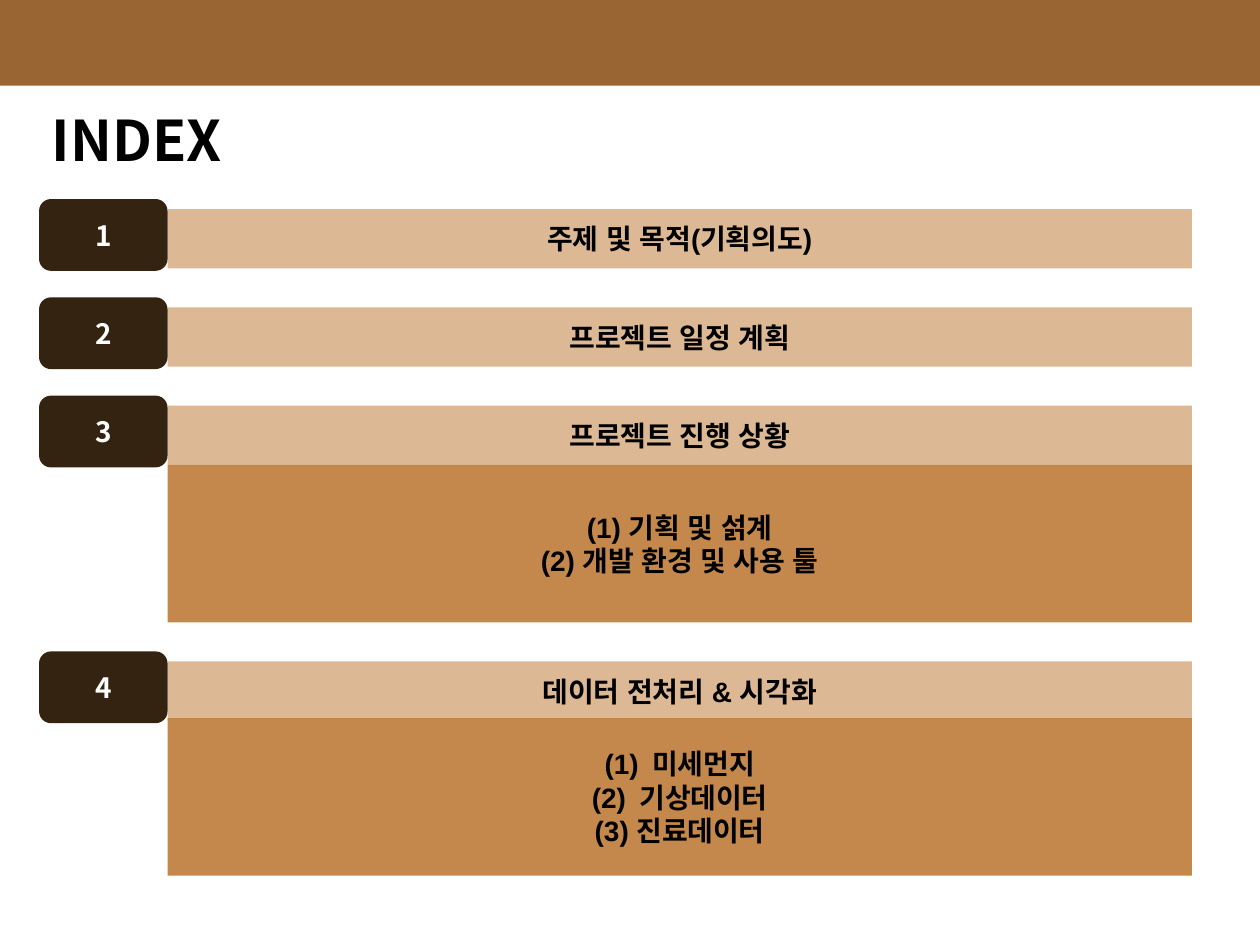
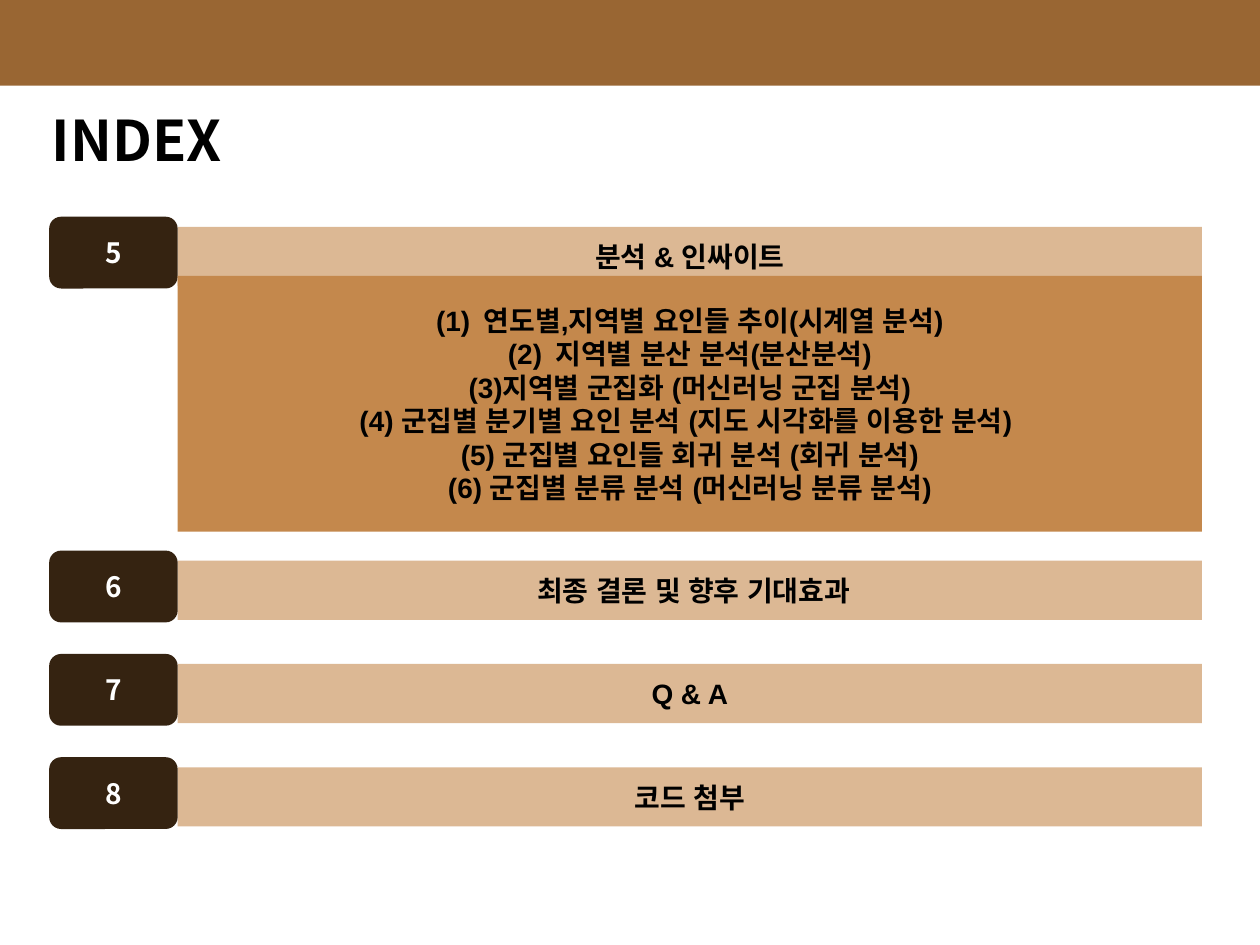
"""Build the two index slides of a data analysis project deck."""
from dataclasses import dataclass

from lxml import etree
from pptx import Presentation
from pptx.dml.color import RGBColor
from pptx.enum.shapes import MSO_SHAPE
from pptx.enum.text import MSO_ANCHOR, MSO_AUTO_SIZE, PP_ALIGN
from pptx.oxml.ns import qn
from pptx.util import Inches, Pt

RECTANGLE = MSO_SHAPE.RECTANGLE
ROUNDED = MSO_SHAPE.FLOWCHART_ALTERNATE_PROCESS
MIDDLE = MSO_ANCHOR.MIDDLE
NO_FIT = MSO_AUTO_SIZE.NONE
LEFT = PP_ALIGN.LEFT
CENTER = PP_ALIGN.CENTER


@dataclass(frozen=True)
class Theme:
    """Colours, fonts and type sizes of the deck."""
    band: str = "996633"
    bar: str = "DCB894"
    panel: str = "C4884C"
    badge: str = "352311"
    dark: str = "000000"
    light: str = "FFFFFF"
    body_font: str = "Arial"
    display_font: str = "Noto Sans CJK KR"
    title_size: float = 32
    body_size: float = 16
    line_height: float = 19.2


@dataclass(frozen=True)
class Section:
    """One numbered index entry, with an optional panel of points."""
    heading: str
    top: float
    points: tuple = ()
    panel_top: float = 0
    panel_height: float = 0
    numbered: int = 0


THEME = Theme()
SLIDE_WIDTH, SLIDE_HEIGHT = 10, 7.5
BAND_HEIGHT = 0.68
BADGE_WIDTH, BADGE_HEIGHT, BADGE_RISE = 1.02, 0.57, 0.08
BAR_WIDTH, BAR_HEIGHT = 8.13, 0.47
NUMBER_INDENT = 0.38

FIRST_SECTIONS = (
    Section("주제 및 목적(기획의도)", 1.66),
    Section("프로젝트 일정 계획", 2.44),
    Section("프로젝트 진행 상황", 3.22,
            ("(1) 기획 및 섥계", "(2) 개발 환경 및 사용 툴"), 3.69, 1.25),
    Section("데이터 전처리 & 시각화", 5.25,
            ("미세먼지", "기상데이터", "(3) 진료데이터"), 5.7, 1.25, 2),
)
SECOND_SECTIONS = (
    Section("분석 & 인싸이트", 1.8,
            ("연도별,지역별 요인들 추이(시계열 분석)",
             "지역별 분산 분석(분산분석)",
             "(3)지역별 군집화 (머신러닝 군집 분석)",
             "(4) 군집별 분기별 요인 분석 (지도 시각화를 이용한 분석) ",
             "(5) 군집별 요인들 회귀 분석 (회귀 분석)",
             "(6) 군집별 분류 분석 (머신러닝 분류 분석)"), 2.19, 2.03, 2),
    Section(" 최종 결론 및 향후 기대효과", 4.45),
    Section("Q & A", 5.27),
    Section("코드 첨부", 6.09),
)


def add_span(para, text, font_name, size, color):
    """Add one bold run with its Latin and East Asian font."""
    span = para.add_run()
    span.text = text
    span.font.name = font_name
    span.font.size = Pt(size)
    span.font.bold = True
    span.font.color.rgb = RGBColor.from_string(color)
    properties = span.font._element
    east_asian = etree.Element(qn("a:ea"), typeface=font_name)
    properties.find(qn("a:latin")).addnext(east_asian)


def add_numbering(para):
    """Number a paragraph automatically in the (1) style."""
    properties = para._p.get_or_add_pPr()
    properties.set("marL", str(Inches(NUMBER_INDENT)))
    properties.set("indent", str(-Inches(NUMBER_INDENT)))
    etree.SubElement(properties, qn("a:buFont"), typeface=THEME.display_font)
    etree.SubElement(properties, qn("a:buAutoNum"), type="arabicParenBoth")


def add_box(page, kind, fill, left, top, width, height):
    """Add a plain filled shape without outline or shadow."""
    box = page.shapes.add_shape(kind, Inches(left), Inches(top),
                                Inches(width), Inches(height))
    box.shadow.inherit = False
    box.fill.solid()
    box.fill.fore_color.rgb = RGBColor.from_string(fill)
    box.line.fill.background()
    box.text_frame.word_wrap = True
    box.text_frame.vertical_anchor = MIDDLE
    return box


def write_lines(box, lines, numbered=0):
    """Write centred body lines, the first ones numbered automatically."""
    frame = box.text_frame
    for index, line in enumerate(lines):
        para = frame.add_paragraph() if index else frame.paragraphs[0]
        if index < numbered:
            add_numbering(para)
        para.alignment = CENTER
        para.line_spacing = Pt(THEME.line_height)
        add_span(para, line, THEME.body_font, THEME.body_size, THEME.dark)


def add_badge(page, number, left, top):
    """Add the dark rounded box that holds a section number."""
    badge = add_box(page, ROUNDED, THEME.badge, left, top,
                    BADGE_WIDTH, BADGE_HEIGHT)
    para = badge.text_frame.paragraphs[0]
    para.alignment = CENTER
    add_span(para, str(number), THEME.display_font, THEME.body_size, THEME.light)


def add_section(page, number, section, left):
    """Add a heading bar, its badge and its panel of points."""
    bar_left = left + BADGE_WIDTH
    bar = add_box(page, RECTANGLE, THEME.bar, bar_left, section.top,
                  BAR_WIDTH, BAR_HEIGHT)
    write_lines(bar, [section.heading])
    add_badge(page, number, left, section.top - BADGE_RISE)
    if section.points:
        panel = add_box(page, RECTANGLE, THEME.panel, bar_left,
                        section.panel_top, BAR_WIDTH, section.panel_height)
        write_lines(panel, section.points, section.numbered)


def add_title(page, text):
    """Place and format the title placeholder."""
    title = page.shapes.title
    title.left, title.top = Inches(0.31), Inches(BAND_HEIGHT)
    title.width, title.height = Inches(2.77), Inches(0.85)
    title.text_frame.auto_size = NO_FIT
    title.text_frame.vertical_anchor = MIDDLE
    para = title.text_frame.paragraphs[0]
    para.alignment = LEFT
    add_span(para, text, THEME.display_font, THEME.title_size, THEME.dark)


def add_index_page(deck, sections, first_number, left):
    """Add an index slide with its band, title and sections."""
    page = deck.slides.add_slide(deck.slide_layouts.get_by_name("Title Only"))
    add_title(page, "INDEX")
    add_box(page, RECTANGLE, THEME.band, 0, 0, SLIDE_WIDTH, BAND_HEIGHT)
    for number, section in enumerate(sections, first_number):
        add_section(page, number, section, left)


def main():
    """Build and save the deck."""
    deck = Presentation()
    deck.slide_width = Inches(SLIDE_WIDTH)
    deck.slide_height = Inches(SLIDE_HEIGHT)
    add_index_page(deck, FIRST_SECTIONS, 1, 0.31)
    add_index_page(deck, SECOND_SECTIONS, len(FIRST_SECTIONS) + 1, 0.39)
    deck.save("out.pptx")


if __name__ == "__main__":
    main()
